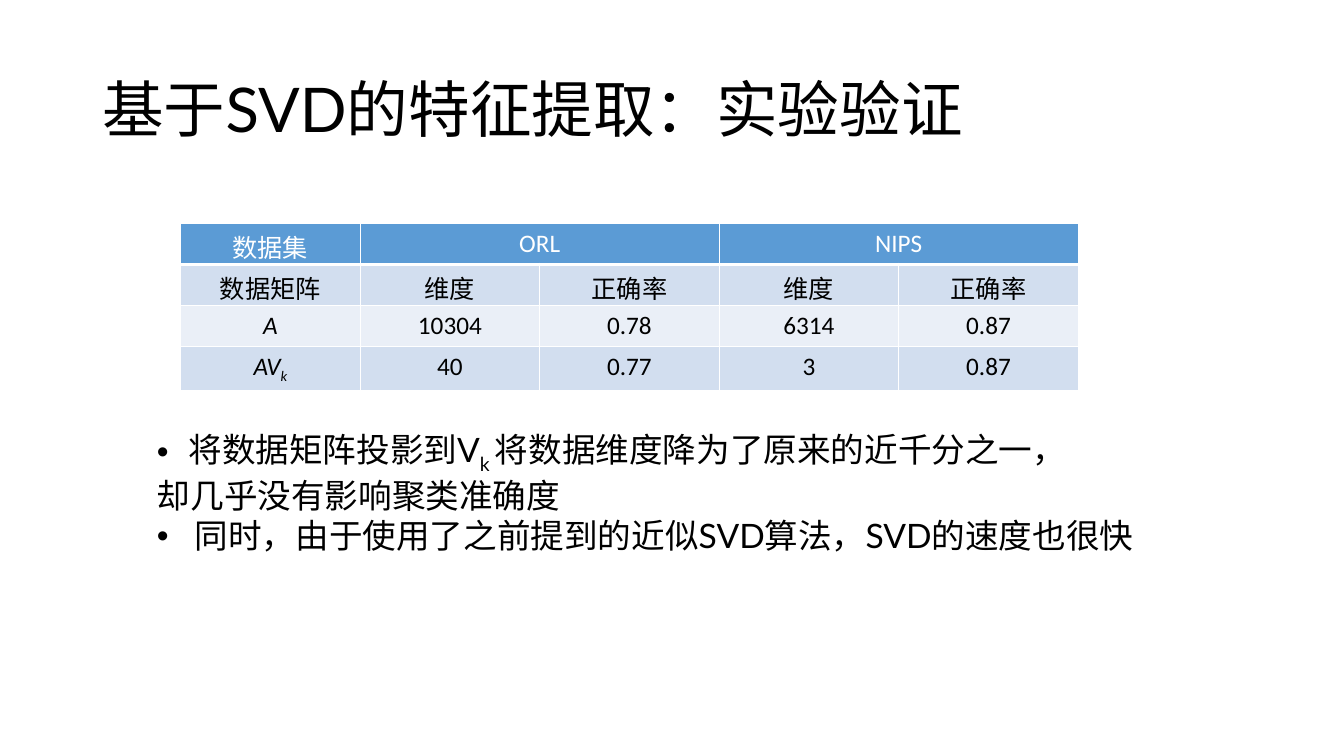
from lxml.etree import SubElement
from pptx import Presentation
from pptx.dml.color import RGBColor
from pptx.enum.text import MSO_ANCHOR, PP_ALIGN
from pptx.oxml.ns import qn
from pptx.util import Pt

EMU_PER_PX = 9525
BLACK, WHITE, HEADER_BLUE = "000000", "FFFFFF", "5B9BD5"
BAND_DARK, BAND_LIGHT = "D2DEEF", "EAEFF7"


def px(length):
    return length * EMU_PER_PX


def color(value):
    return RGBColor.from_string(value)


def write(paragraph, text, font="Lato", size=24, fill=BLACK, italic=False, subscript=False):
    run = paragraph.add_run()
    run.text = text
    run.font.name = font
    run.font.size = Pt(size)
    run.font.italic = italic
    run.font.color.rgb = color(fill)
    if subscript:
        run._r.get_or_add_rPr().set("baseline", "-25000")


def hang_bullet(paragraph, indent):
    properties = paragraph._p.get_or_add_pPr()
    properties.set("marL", str(px(indent)))
    properties.set("indent", str(-px(indent)))
    SubElement(properties, qn("a:buFont"), typeface="Arial")
    SubElement(properties, qn("a:buChar"), char="•")


def outline(cell, bottom):
    """Draw white cell borders, 1 pt wide except for the given bottom width."""
    properties = cell._tc.get_or_add_tcPr()
    for side, width in (("L", 1), ("R", 1), ("T", 1), ("B", bottom)):
        line = SubElement(properties, qn(f"a:ln{side}"), w=str(Pt(width)))
        SubElement(SubElement(line, qn("a:solidFill")), qn("a:srgbClr"), val=WHITE)


class SlideBuilder:
    def __init__(self, slide):
        self.slide = slide
        self.table_style = {"font": "Calibri", "size": 18}

    def text_box(self, left, top, width, height, anchor=MSO_ANCHOR.TOP):
        box = self.slide.shapes.add_textbox(px(left), px(top), px(width), px(height))
        frame = box.text_frame
        frame.word_wrap = True
        frame.vertical_anchor = anchor
        return frame

    def title(self, text):
        heading = self.text_box(88, 38, 1104, 139, MSO_ANCHOR.MIDDLE).paragraphs[0]
        heading.line_spacing = 0.9
        write(heading, text, size=44)

    def findings(self, findings):
        """Each finding is (bullet indent or 0, [(text, is_subscript), ...])."""
        frame = self.text_box(140, 404, 971, 165)
        for index, (indent, pieces) in enumerate(findings):
            paragraph = frame.add_paragraph() if index else frame.paragraphs[0]
            if indent:
                hang_bullet(paragraph, indent)
            for text, subscript in pieces:
                write(paragraph, text, subscript=subscript)

    def table(self, rows, left, top, column_width, row_height):
        columns = len(rows[0])
        table = self.slide.shapes.add_table(
            len(rows), columns, px(left), px(top),
            px(column_width * columns), px(row_height * len(rows))).table
        table.first_row = table.horz_banding = False
        for column in table.columns:
            column.width = px(column_width)
        for row_index, values in enumerate(rows):
            table.rows[row_index].height = px(row_height)
            is_header = row_index == 0
            band = HEADER_BLUE if is_header else (BAND_LIGHT, BAND_DARK)[row_index % 2]
            for column_index, value in enumerate(values):
                cell = table.cell(row_index, column_index)
                outline(cell, bottom=3 if is_header else 1)
                cell.fill.solid()
                cell.fill.fore_color.rgb = color(band)
                paragraph = cell.text_frame.paragraphs[0]
                paragraph.alignment = PP_ALIGN.CENTER
                is_symbol = row_index > 1 and column_index == 0
                base, _, index = value.partition("_")
                for text, subscript in ((base, False), (index, True)):
                    if text:
                        write(paragraph, text, fill=WHITE if is_header else BLACK,
                              italic=is_symbol, subscript=subscript, **self.table_style)
        for start in range(1, columns, 2):
            table.cell(0, start).merge(table.cell(0, start + 1))


def main():
    presentation = Presentation()
    presentation.slide_width, presentation.slide_height = px(1280), px(720)
    builder = SlideBuilder(presentation.slides.add_slide(presentation.slide_layouts[6]))

    builder.title("基于SVD的特征提取：实验验证")
    builder.findings([
        (30, [("将数据矩阵投影到V", False), ("k ", True),
              ("将数据维度降为了原来的近千分之一，", False)]),
        (0, [("却几乎没有影响聚类准确度", False)]),
        (36, [("同时，由于使用了之前提到的近似SVD算法，SVD的速度也很快", False)]),
    ])
    builder.table([
        ["数据集", "ORL", "", "NIPS", ""],
        ["数据矩阵", "维度", "正确率", "维度", "正确率"],
        ["A", "10304", "0.78", "6314", "0.87"],
        ["AV_k", "40", "0.77", "3", "0.87"],
    ], left=172, top=213, column_width=171, row_height=39)
    presentation.save("out.pptx")


if __name__ == "__main__":
    main()
